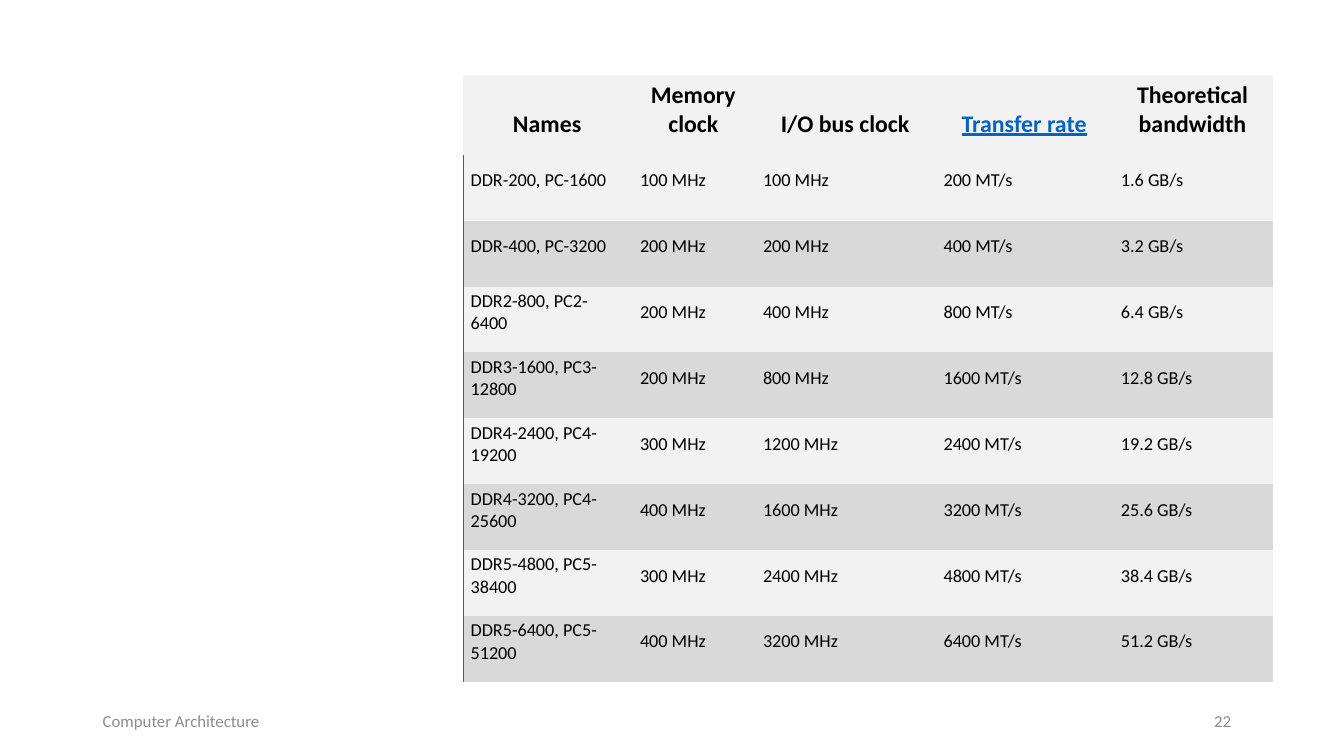
from dataclasses import dataclass

from lxml import etree
from pptx import Presentation
from pptx.dml.color import RGBColor
from pptx.enum.text import MSO_ANCHOR, PP_ALIGN
from pptx.oxml.ns import qn
from pptx.slide import Slide
from pptx.table import Table, _Cell
from pptx.text.text import _Paragraph
from pptx.util import Cm, Pt

MIDDLE = MSO_ANCHOR.MIDDLE
BOTTOM = MSO_ANCHOR.BOTTOM
LEFT = PP_ALIGN.LEFT
CENTER = PP_ALIGN.CENTER

BLACK = RGBColor(0x00, 0x00, 0x00)
LINK_BLUE = RGBColor(0x05, 0x63, 0xC1)
FOOTER_GREY = RGBColor(0x8C, 0x8C, 0x8C)
EDGE_GREY = RGBColor(0x59, 0x59, 0x59)
LIGHT_BAND = RGBColor(0xF2, 0xF2, 0xF2)
DARK_BAND = RGBColor(0xD9, 0xD9, 0xD9)

FONT = "Calibri"
PLAIN_TABLE_STYLE = "{2D5ABB26-0587-4C30-8999-92F81FD0307C}"
HEADER_HEIGHT = 2.0
ROW_HEIGHT = 1.66


@dataclass(frozen=True)
class Column:
    heading: str
    width: float
    color: RGBColor = BLACK
    underline: bool = False


@dataclass(frozen=True)
class Memory:
    names: str
    memory_mhz: int
    bus_mhz: int
    transfer_rate: int
    bandwidth: float

    def texts(self) -> list[str]:
        return [
            self.names,
            f"{self.memory_mhz} MHz",
            f"{self.bus_mhz} MHz",
            f"{self.transfer_rate} MT/s",
            f"{self.bandwidth} GB/s",
        ]


@dataclass(frozen=True)
class FooterItem:
    text: str
    left: float
    width: float


COLUMNS = [
    Column("Names", 4.27),
    Column("Memory clock", 3.1),
    Column("I/O bus clock", 4.55),
    Column("Transfer rate", 4.47, LINK_BLUE, True),
    Column("Theoretical bandwidth", 4.02),
]
MEMORIES = [
    Memory("DDR-200, PC-1600", 100, 100, 200, 1.6),
    Memory("DDR-400, PC-3200", 200, 200, 400, 3.2),
    Memory("DDR2-800, PC2-6400", 200, 400, 800, 6.4),
    Memory("DDR3-1600, PC3-12800", 200, 800, 1600, 12.8),
    Memory("DDR4-2400, PC4-19200", 300, 1200, 2400, 19.2),
    Memory("DDR4-3200, PC4-25600", 400, 1600, 3200, 25.6),
    Memory("DDR5-4800, PC5-38400", 300, 2400, 4800, 38.4),
    Memory("DDR5-6400, PC5-51200", 400, 3200, 6400, 51.2),
]
FOOTER = [
    FooterItem("Computer Architecture", 2.34, 16.56),
    FooterItem("22", 30.35, 1.73),
]


def add_run(paragraph: _Paragraph, text: str, size: float, color: RGBColor,
            bold: bool = False, underline: bool = False) -> None:
    run = paragraph.add_run()
    run.text = text
    run.font.name = FONT
    run.font.size = Pt(size)
    run.font.color.rgb = color
    run.font.bold = bold
    run.font.underline = underline


def format_cell(cell: _Cell, fill: RGBColor, anchor: MSO_ANCHOR,
                alignment: PP_ALIGN) -> _Paragraph:
    cell.fill.solid()
    cell.fill.fore_color.rgb = fill
    cell.vertical_anchor = anchor
    cell.margin_left, cell.margin_top = Cm(0.18), Cm(0.05)
    cell.margin_right, cell.margin_bottom = Cm(0.23), Cm(0.41)
    paragraph = cell.text_frame.paragraphs[0]
    paragraph.alignment = alignment
    return paragraph


def add_left_edge(cell: _Cell) -> None:
    edge = etree.Element(qn("a:lnL"), w=str(Pt(0.75)))
    solid = etree.SubElement(edge, qn("a:solidFill"))
    etree.SubElement(solid, qn("a:srgbClr"), val=str(EDGE_GREY))
    cell._tc.get_or_add_tcPr().insert(0, edge)


def fill_header(table: Table) -> None:
    table.rows[0].height = Cm(HEADER_HEIGHT)
    for index, column in enumerate(COLUMNS):
        table.columns[index].width = Cm(column.width)
        heading = format_cell(table.cell(0, index), LIGHT_BAND, BOTTOM, CENTER)
        add_run(heading, column.heading, 17, column.color, True, column.underline)


def fill_memories(table: Table) -> None:
    for row, memory in enumerate(MEMORIES, start=1):
        table.rows[row].height = Cm(ROW_HEIGHT)
        band = LIGHT_BAND if row % 2 else DARK_BAND
        for index, text in enumerate(memory.texts()):
            value = format_cell(table.cell(row, index), band, MIDDLE, LEFT)
            add_run(value, text, 13, BLACK)
        add_left_edge(table.cell(row, 0))


def add_memory_table(slide: Slide) -> None:
    width = sum(column.width for column in COLUMNS)
    height = HEADER_HEIGHT + ROW_HEIGHT * len(MEMORIES)
    table = slide.shapes.add_table(
        len(MEMORIES) + 1, len(COLUMNS), Cm(11.68), Cm(1.9), Cm(width), Cm(height)
    ).table
    table.horz_banding = False
    table._tbl.tblPr.find(qn("a:tableStyleId")).text = PLAIN_TABLE_STYLE
    fill_header(table)
    fill_memories(table)


def add_footer_item(slide: Slide, item: FooterItem) -> None:
    frame = slide.shapes.add_textbox(
        Cm(item.left), Cm(17.65), Cm(item.width), Cm(1.02)
    ).text_frame
    frame.word_wrap = True
    frame.vertical_anchor = MIDDLE
    paragraph = frame.paragraphs[0]
    paragraph.space_after = Pt(6)
    add_run(paragraph, item.text, 12, FOOTER_GREY)


def main() -> None:
    presentation = Presentation()
    presentation.slide_width = Cm(33.87)
    presentation.slide_height = Cm(19.05)
    slide = presentation.slides.add_slide(presentation.slide_layouts[6])
    for item in FOOTER:
        add_footer_item(slide, item)
    add_memory_table(slide)
    presentation.save("out.pptx")


if __name__ == "__main__":
    main()
